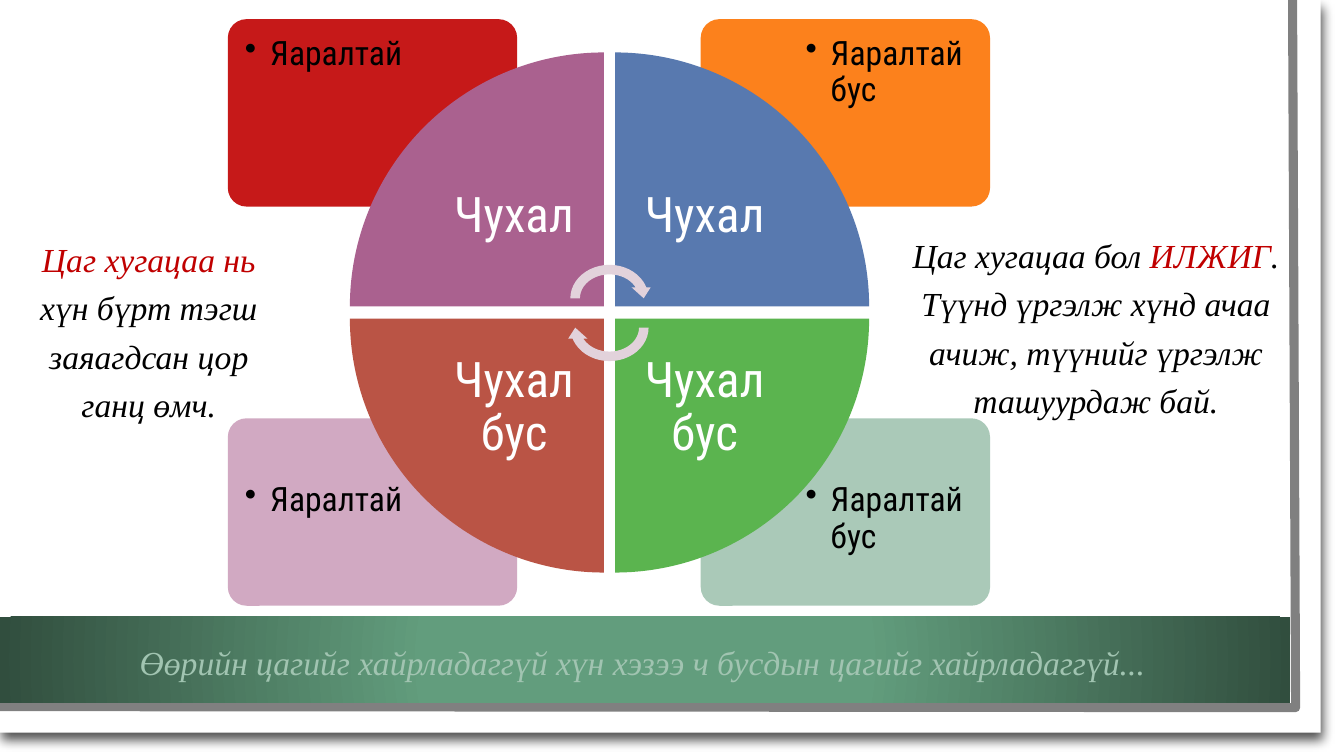
from dataclasses import dataclass

from lxml import etree
from pptx import Presentation
from pptx import util as u
from pptx.dml import color
from pptx.enum import shapes, text
from pptx.oxml import ns

PX = 9144
KIND = shapes.MSO_SHAPE
RED, BLACK, WHITE, SAGE = "C00000", "000000", "FFFFFF", "A1C4B1"
ROBOTO, TIMES = "Roboto Condensed", "Times New Roman"


@dataclass
class Quad:
    col: int
    row: int
    turn: int
    card: str
    wedge: str
    note: str
    label: str


@dataclass
class Quote:
    box: tuple[int, int, int, int]
    runs: list[tuple[str, str]]


QUADS = [
    Quad(0, 0, 0, RED, "AA618F", "Яаралтай", "Чухал"),
    Quad(1, 0, 90, "FC7404", "5879AF", "Яаралтай бус", "Чухал"),
    Quad(1, 1, 180, SAGE, "5BB44F", "Яаралтай бус", "Чухал бус"),
    Quad(0, 1, 270, "CCA0BC", "BA5445", "Яаралтай", "Чухал бус"),
]
QUOTES = [
    Quote((17, 224, 261, 204), [
        ("Цаг хугацаа нь ", RED),
        ("хүн бүрт тэгш заяагдсан цор ганц өмч.", BLACK)]),
    Quote((889, 220, 396, 204), [
        ("Цаг хугацаа бол ", BLACK),
        ("ИЛЖИГ", RED),
        (". Түүнд үргэлж хүнд ачаа ачиж, түүнийг үргэлж ташуурдаж бай.", BLACK)]),
]
BANNER = "Өөрийн цагийг хайрладаггүй хүн хэзээ ч бусдын цагийг хайрладаггүй..."


def rgb(code: str) -> color.RGBColor:
    return color.RGBColor.from_string(code)


def node(up, tag: str, **attrs: str):
    return etree.SubElement(up, ns.qn(tag), attrs)


def emu(*box: int) -> list[u.Emu]:
    return [u.Emu(side * PX) for side in box]


def draw(slide, kind, box: tuple[int, ...], fill: str, turn: int = 0):
    shape = slide.shapes.add_shape(kind, *emu(*box))
    shape.shadow.inherit = False
    shape.fill.solid()
    shape.fill.fore_color.rgb = rgb(fill)
    shape.line.fill.background()
    shape.rotation = turn
    return shape


def style(para, face: str, size: int, code: str | None = None) -> None:
    para.font.name = face
    para.font.size = u.Pt(size)
    if code:
        para.font.color.rgb = rgb(code)


def write(slide, box: tuple[int, ...], inset: int | None = None):
    frame = slide.shapes.add_textbox(*emu(*box)).text_frame
    frame.word_wrap = True
    if inset is not None:
        pad = u.Emu(inset * PX)
        frame.margin_left = frame.margin_right = pad
        frame.margin_top = frame.margin_bottom = pad
    return frame


def page(slide) -> None:
    sheet = draw(slide, KIND.RECTANGLE, (0, 0, 1310, 727), WHITE)
    glow = node(sheet._element.spPr.find(ns.qn("a:effectLst")), "a:outerShdw",
                blurRad=str(u.Pt(7.8)), dist=str(u.Pt(6)), dir="4380000")
    node(node(glow, "a:srgbClr", val=BLACK), "a:alpha", val="68000")

    pen = slide.shapes.build_freeform(1282, 0, scale=PX)
    pen.add_line_segments([(1285, 702), (-3, 701)], close=False)
    edge = pen.convert_to_shape()
    edge.shadow.inherit = False
    edge.fill.background()
    edge.line.color.rgb = rgb("808080")
    edge.line.width = u.Pt(6.5)

    band = draw(slide, KIND.RECTANGLE, (0, 612, 1280, 85), "629D7D")
    band.fill.gradient()
    for stop, (place, code) in zip(band.fill.gradient_stops,
                                   [(0.34, "629D7D"), (1, "314E3E")]):
        stop.position = place
        stop.color.rgb = rgb(code)
    grad = band._element.spPr.find(ns.qn("a:gradFill"))
    grad.remove(grad.find(ns.qn("a:lin")))
    node(node(grad, "a:path", path="circle"), "a:fillToRect",
         l="50000", t="50000", r="50000", b="50000")


def card(slide, quad: Quad) -> None:
    box = (226 + 469 * quad.col, 19 + 396 * quad.row, 287, 186)
    shape = draw(slide, KIND.ROUNDED_RECTANGLE, box, quad.card)
    shape.adjustments[0] = 0.1
    hue = shape._element.spPr.find(ns.qn("a:solidFill"))[0]
    node(hue, "a:alpha", val="90000")

    frame = write(slide, (230 + 556 * quad.col, 23 + 443 * quad.row, 193, 131), 13)
    para = frame.paragraphs[0]
    para.text = quad.note
    para.line_spacing = 0.9
    props = para._p.get_or_add_pPr()
    props.set("marL", str(25 * PX))
    props.set("indent", str(-25 * PX))
    node(props, "a:buChar", char="•")
    style(para, ROBOTO, 24, BLACK)


def wedge(slide, quad: Quad) -> None:
    box = (347 + 263 * quad.col, 52 + 264 * quad.row, 252, 252)
    draw(slide, KIND.PIE_WEDGE, box, quad.wedge, quad.turn)
    frame = write(slide, (421 + 189 * quad.col, 126 + 190 * quad.row, 178, 178), 27)
    frame.vertical_anchor = text.MSO_ANCHOR.MIDDLE
    para = frame.paragraphs[0]
    para.text = quad.label
    para.alignment = text.PP_ALIGN.CENTER
    para.line_spacing = 0.9
    style(para, ROBOTO, 35, WHITE)


def script(para) -> None:
    para.alignment = text.PP_ALIGN.CENTER
    para.line_spacing = 1.2
    style(para, TIMES, 24)
    para.font.italic = True


def quote(slide, item: Quote) -> None:
    para = write(slide, item.box).paragraphs[0]
    script(para)
    for words, code in item.runs:
        run = para.add_run()
        run.text = words
        run.font.color.rgb = rgb(code)


def banner(slide) -> None:
    title = slide.shapes.title
    title.left, title.top, title.width, title.height = emu(34, 624, 1206, 54)
    frame = title.text_frame
    frame.text = BANNER
    frame.word_wrap = True
    frame.auto_size = text.MSO_AUTO_SIZE.NONE
    frame.vertical_anchor = text.MSO_ANCHOR.TOP
    para = frame.paragraphs[0]
    script(para)
    para.space_before = u.Pt(0)
    para.font.color.rgb = rgb(SAGE)
    slide.shapes._spTree.append(title._element)


def main() -> None:
    deck = Presentation()
    deck.slide_width, deck.slide_height = emu(1333, 750)
    slide = deck.slides.add_slide(deck.slide_layouts[5])
    page(slide)
    for quad in reversed(QUADS):
        card(slide, quad)
    for quad in QUADS:
        wedge(slide, quad)
    for top, turn in [(258, 0), (287, 180)]:
        draw(slide, KIND.CIRCULAR_ARROW, (561, top, 87, 76), "E2D2DB", turn)
    for item in QUOTES:
        quote(slide, item)
    banner(slide)
    deck.save("out.pptx")


if __name__ == "__main__":
    main()
